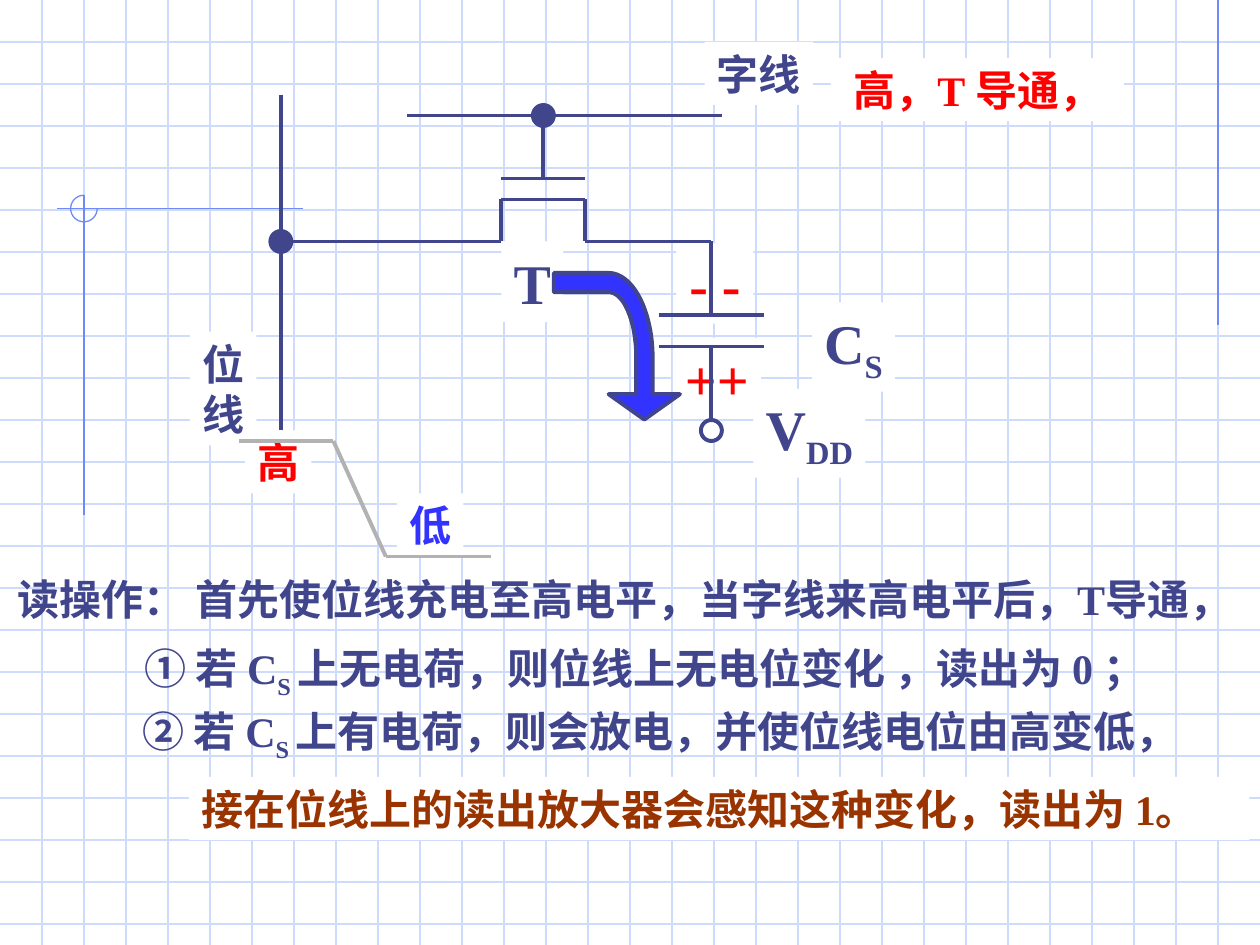
"""Build the slide on the read operation of a one-transistor memory cell."""
from dataclasses import dataclass
from math import cos, radians, sin

from lxml.etree import SubElement
from pptx import Presentation
from pptx.dml.color import RGBColor
from pptx.enum.shapes import MSO_CONNECTOR as Connector, MSO_SHAPE as Preset
from pptx.enum.text import MSO_ANCHOR as Anchor, PP_ALIGN as Align
from pptx.oxml.ns import qn
from pptx.util import Pt

WIDTH, HEIGHT, GRID = 720, 540, 24
INK, RED, BLUE, BROWN, WHITE = "40458C", "FF0000", "3333FF", "993300", "FFFFFF"
PALE, ACCENT, GREY = "CFDBFD", "6F89F7", "B2B2B2"
THIN, THICK = 0.74, 2.24
BIT_X, GATE_X, SOURCE_X, DRAIN_X, CELL_X = 160.5, 310.5, 286.5, 334.5, 406.5
WORD_Y, GATE_Y, CHANNEL_Y, NODE_Y = 66, 102, 114, 138
PLATE_TOP, PLATE_BOTTOM, BIT_END = 180, 198, 246

Point = tuple[float, float]


@dataclass
class Label:
    """Text block; a bar in the text starts and ends a subscript."""
    text: str
    left: float
    top: float
    width: float
    height: float
    size: float = 24
    color: str = INK
    fill: str | None = WHITE
    wrap: bool = False
    align: Align = Align.CENTER


@dataclass
class Dot:
    """Junction or terminal circle."""
    x: float
    y: float
    fill: str = INK
    diameter: float = 12


CHARGES = [
    Label("++", 384.5, 193, 50.4, 46, 32, RED),
    Label("- -", 386.6, 139, 44, 46, 32, RED),
]
WIRES = [
    [(232.5, WORD_Y), (412.5, WORD_Y)],
    [(GATE_X, WORD_Y), (GATE_X, GATE_Y)],
    [(SOURCE_X, GATE_Y), (DRAIN_X, GATE_Y)],
    [(BIT_X, NODE_Y), (SOURCE_X, NODE_Y), (SOURCE_X, CHANNEL_Y), (DRAIN_X, CHANNEL_Y),
     (DRAIN_X, NODE_Y), (CELL_X, NODE_Y), (CELL_X, PLATE_TOP)],
    [(BIT_X, 54), (BIT_X, BIT_END)],
    [(376.5, PLATE_TOP), (436.5, PLATE_TOP)],
    [(376.5, PLATE_BOTTOM), (436.5, PLATE_BOTTOM)],
    [(CELL_X, PLATE_BOTTOM), (CELL_X, BIT_END)],
]
DOTS = [Dot(GATE_X, WORD_Y), Dot(BIT_X, NODE_Y), Dot(CELL_X, BIT_END, WHITE)]
LABELS = [
    Label("V|DD", 430.5, 222, 64, 51, 32),
    Label("C|S", 464, 172.8, 47.4, 51, 32),
    Label("字线", 402.6, 24, 62, 36),
    Label("位\n线", 108.5, 189.5, 38, 65),
    Label("T", 286.5, 138, 35.4, 46, 32),
    Label("接在位线上的读出放大器会感知这种变化，读出为 1。", 108, 444, 606, 36,
          color=BROWN, wrap=True, align=Align.LEFT),
    Label("高，T 导通，", 474.6, 33.3, 167.6, 36, color=RED),
    Label("高", 140, 246, 38, 36, color=RED),
    Label("低", 226.8, 282, 38, 36, color=BLUE),
    Label("读操作： 首先使位线充电至高电平，当字线来高电平后，T导通，",
          10, 324, 710, 36, fill=None, align=Align.LEFT),
    Label("① 若 C|S |上无电荷，则位线上无电位变化 ，读出为 0 ；",
          70, 363.6, 597, 40, fill=None, wrap=True),
    Label("② 若 C|S |上有电荷，则会放电，并使位线电位由高变低，",
          65, 399.6, 624, 40, fill=None, wrap=True),
]
FALLING_EDGE = [(136.5, 252), (190.5, 252), (220.5, 318), (280.5, 318)]


def rgb(color: str) -> RGBColor:
    """Turn a hex string into a colour."""
    return RGBColor.from_string(color)


def style_line(line, color: str, weight: float) -> None:
    """Set the colour and width of a line."""
    line.color.rgb = rgb(color)
    line.width = Pt(weight)


def add_path(shapes, points: list[Point], color: str, weight: float) -> None:
    """Join consecutive points with straight connectors."""
    for start, end in zip(points, points[1:]):
        wire = shapes.add_connector(Connector.STRAIGHT, *map(Pt, start + end))
        style_line(wire.line, color, weight)
        SubElement(wire._element.spPr, qn("a:effectLst"))


def arc(center: Point, rx: float, ry: float, start: int, end: int) -> list[Point]:
    """List points on an ellipse between two angles, clockwise from the right."""
    steps = 24
    angles = [radians(start + (end - start) * i / steps) for i in range(steps + 1)]
    return [(center[0] + rx * cos(a), center[1] + ry * sin(a)) for a in angles]


def add_outline(shapes, points: list[Point], color: str, weight: float,
                fill: str | None = None) -> None:
    """Draw a freeform, closed when it has a fill."""
    corners = [(Pt(x), Pt(y)) for x, y in points]
    builder = shapes.build_freeform(*corners[0])
    builder.add_line_segments(corners[1:], close=fill is not None)
    outline = builder.convert_to_shape()
    outline.shadow.inherit = False
    style_line(outline.line, color, weight)
    if fill:
        outline.fill.solid()
        outline.fill.fore_color.rgb = rgb(fill)
    else:
        outline.fill.background()


def add_dot(shapes, dot: Dot) -> None:
    """Draw a circle around its centre."""
    radius = dot.diameter / 2
    circle = shapes.add_shape(Preset.OVAL, Pt(dot.x - radius), Pt(dot.y - radius),
                              Pt(dot.diameter), Pt(dot.diameter))
    circle.shadow.inherit = False
    circle.fill.solid()
    circle.fill.fore_color.rgb = rgb(dot.fill)
    style_line(circle.line, INK, THICK)


def add_label(shapes, label: Label) -> None:
    """Draw a text block with its subscripts."""
    box = shapes.add_textbox(Pt(label.left), Pt(label.top), Pt(label.width), Pt(label.height))
    if label.fill:
        box.fill.solid()
        box.fill.fore_color.rgb = rgb(label.fill)
    frame = box.text_frame
    frame.word_wrap = label.wrap
    if not label.wrap:
        frame.margin_left = frame.margin_right = Pt(0)
    frame.vertical_anchor = Anchor.MIDDLE
    frame.text = label.text.replace("|", "")
    for paragraph, line in zip(frame.paragraphs, label.text.split("\n")):
        paragraph.alignment = label.align
        first, *rest = line.split("|")
        paragraph.runs[0].text = first
        for part in rest:
            paragraph.add_run().text = part
        for index, run in enumerate(paragraph.runs):
            run.font.name = "Times New Roman"
            run.font.size = Pt(label.size)
            run.font.bold = True
            run.font.color.rgb = rgb(label.color)
            if index % 2:
                run._r.get_or_add_rPr().set("baseline", "-25000")


def add_backdrop(shapes) -> None:
    """Draw the squared paper and its corner marks."""
    for y in range(GRID, HEIGHT, GRID):
        add_path(shapes, [(0, y), (WIDTH, y)], PALE, THIN)
    for x in range(GRID, WIDTH, GRID):
        add_path(shapes, [(x, 0), (x, HEIGHT)], PALE, THIN)
    for mark in ([(696, 0), (696, 186)], [(173, 119.2), (32.5, 119.2)], [(48, 111.5), (48, 294.5)]):
        add_path(shapes, mark, ACCENT, THIN)
    add_outline(shapes, arc((48, 119.2), 7.6, 7.6, 0, 270), ACCENT, THIN)


def add_current_arrow(shapes) -> None:
    """Draw the bent arrow for the discharge current."""
    bend = (347.8, 204.5)
    head = [(363.6, 225.3), (347.8, 225.3), (368.2, 239.8), (388.6, 225.3), (373, 225.3)]
    tail = [(316.5, 156), (316.5, 167)]
    points = head + arc(bend, 25.2, 48.5, 0, -90) + tail + arc(bend, 15.8, 37.5, -90, 0)
    add_outline(shapes, points, INK, THICK, BLUE)


def main() -> None:
    """Compose and save the slide."""
    deck = Presentation()
    deck.slide_width, deck.slide_height = Pt(WIDTH), Pt(HEIGHT)
    shapes = deck.slides.add_slide(deck.slide_layouts[6]).shapes
    add_backdrop(shapes)
    for charge in CHARGES:
        add_label(shapes, charge)
    for wire in WIRES:
        add_path(shapes, wire, INK, THICK)
    for dot in DOTS:
        add_dot(shapes, dot)
    for label in LABELS:
        add_label(shapes, label)
    add_current_arrow(shapes)
    add_path(shapes, FALLING_EDGE, GREY, THICK)
    deck.save("out.pptx")


main()
